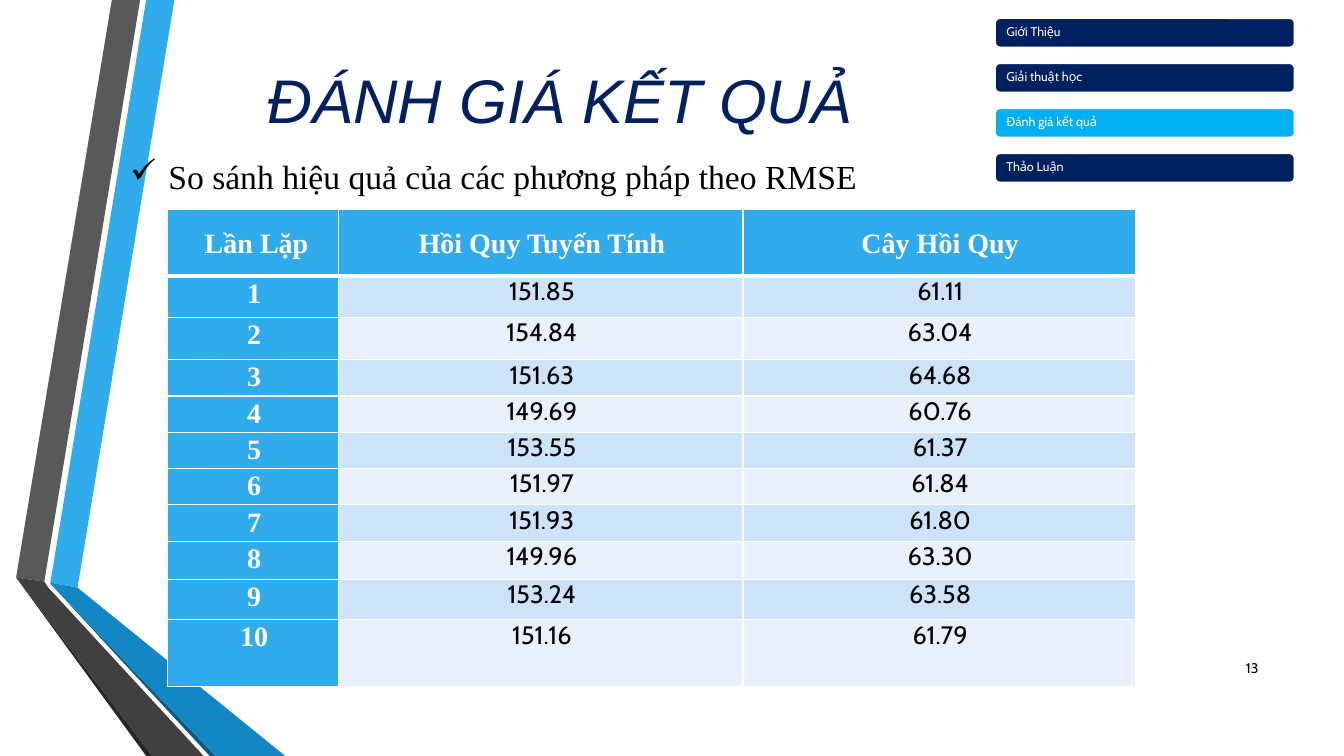
from lxml import etree
from pptx import Presentation
from pptx import util as u
from pptx.dml.color import RGBColor
from pptx.enum import shapes, text
from pptx.oxml.ns import qn

COLORS = {
    "blue": "30ACEC", "blue_fold": "1287C3", "blue_edge": "0C5A82",
    "gray": "595959", "gray_fold": "404040", "gray_edge": "262626",
    "navy": "002060", "active": "00B0F0", "band_dark": "CDE3F8",
    "band_light": "E8F1FB", "white": "FFFFFF", "black": "000000",
}


def rgb(name):
    return RGBColor.from_string(COLORS[name])


def set_text(tf, value, size, font, color, align, anchor=text.MSO_ANCHOR.TOP):
    tf.text = value
    tf.vertical_anchor = anchor
    p = tf.paragraphs[0]
    p.alignment = align
    f = p.runs[0].font
    f.size, f.name, f.color.rgb = u.Pt(size), font, rgb(color)
    return p


LEFT, CENTER, RIGHT = text.PP_ALIGN.LEFT, text.PP_ALIGN.CENTER, text.PP_ALIGN.RIGHT
MIDDLE = text.MSO_ANCHOR.MIDDLE

prs = Presentation()
prs.slide_width, prs.slide_height = u.Inches(13.33), u.Inches(7.5)
s = prs.slides.add_slide(prs.slide_layouts[6])

ribbons = [
    ("blue", [(0.5, 5.78), (0.77, 5.83), (1.73, 0), (1.45, 0)]),
    ("gray", [(1.39, 0), (1.11, 0), (0.16, 5.73), (0.44, 5.77)]),
    ("gray_edge", [(0.16, 5.73), (1.45, 7.5), (1.51, 7.5)]),
    ("blue_edge", [(0.5, 5.79), (2.08, 7.5), (2.14, 7.5)]),
    ("blue_fold", [(0.5, 5.79), (2.14, 7.5), (2.83, 7.5), (0.77, 5.83), (0.5, 5.78)]),
    ("gray_fold", [(2.02, 7.5), (0.48, 5.83), (0.44, 5.77), (0.16, 5.73), (1.51, 7.5)]),
]
for color, points in ribbons:
    points = [(u.Inches(x), u.Inches(y)) for x, y in points]
    fb = s.shapes.build_freeform(*points[0])
    fb.add_line_segments(points[1:], close=True)
    sp = fb.convert_to_shape()
    sp.shadow.inherit = False
    sp.fill.solid()
    sp.fill.fore_color.rgb = rgb(color)
    sp.line.fill.background()

sp = s.shapes.add_textbox(u.Inches(11.98), u.Inches(6.43), u.Inches(0.6), u.Inches(0.4))
sp.text_frame.word_wrap = True
set_text(sp.text_frame, "13", 10, "Cabin", "black", RIGHT, MIDDLE)

rows = [
    ("Lần Lặp", "Hồi Quy Tuyến Tính", "Cây Hồi Quy"),
    ("1", "151.85", "61.11"),
    ("2", "154.84", "63.04"),
    ("3", "151.63", "64.68"),
    ("4", "149.69", "60.76"),
    ("5", "153.55", "61.37"),
    ("6", "151.97", "61.84"),
    ("7", "151.93", "61.80"),
    ("8", "149.96", "63.30"),
    ("9", "153.24", "63.58"),
    ("10", "151.16", "61.79"),
]
widths = [1.7, 4.01, 3.89]
heights = [0.66, 0.41, 0.42] + [0.36] * 5 + [0.38, 0.4, 0.66]
table = s.shapes.add_table(len(rows), len(widths), u.Inches(1.66), u.Inches(2.08),
                           u.Inches(sum(widths)), u.Inches(sum(heights))).table
for col, width in zip(table.columns, widths):
    col.width = u.Inches(width)
for row, height in zip(table.rows, heights):
    row.height = u.Inches(height)

for i, row in enumerate(rows):
    for j, value in enumerate(row):
        cell = table.cell(i, j)
        cell.margin_left, cell.margin_right = u.Inches(0.07), u.Inches(0.05)
        cell.margin_top = cell.margin_bottom = 0
        heading = i == 0 or j == 0
        if heading:
            p = set_text(cell.text_frame, value, 20, "Times New Roman", "white", CENTER)
            p.line_spacing = 1.07
        else:
            p = set_text(cell.text_frame, value, 18, "Cabin", "black", CENTER)
        p.runs[0].font.bold = heading
        cell.vertical_anchor = MIDDLE if i == 0 else text.MSO_ANCHOR.TOP
        cell.fill.solid()
        band = "band_dark" if i % 2 else "band_light"
        cell.fill.fore_color.rgb = rgb("blue" if heading else band)

        tcPr = cell._tc.get_or_add_tcPr()
        for k, side in enumerate(("lnL", "lnR", "lnT", "lnB")):
            thick = (i, side) in ((0, "lnB"), (1, "lnT"))
            ln = etree.Element(qn("a:" + side), w=str(u.Pt(3 if thick else 1)))
            fill = etree.SubElement(ln, qn("a:solidFill"))
            etree.SubElement(fill, qn("a:srgbClr"), val=COLORS["white"])
            tcPr.insert(k, ln)
table.cell(0, 0).text_frame.paragraphs[0]._p.get_or_add_pPr().set("marL", str(u.Inches(0.05)))

sp = s.shapes.add_textbox(u.Inches(1.16), u.Inches(1.5), u.Inches(7.47), u.Inches(0.5))
tf = sp.text_frame
tf.word_wrap = False
tf.auto_size = text.MSO_AUTO_SIZE.SHAPE_TO_FIT_TEXT
p = set_text(tf, "So sánh hiệu quả của các phương pháp theo RMSE", 24,
             "Times New Roman", "black", CENTER)
pPr = p._p.get_or_add_pPr()
pPr.set("marL", str(u.Inches(0.38)))
pPr.set("indent", str(u.Inches(-0.38)))
etree.SubElement(pPr, qn("a:buChar"), char="✓")

sections = ["Giới Thiệu", "Giải thuật học", "Đánh giá kết quả", "Thảo Luận"]
for i, section in enumerate(sections):
    sp = s.shapes.add_shape(shapes.MSO_SHAPE.ROUNDED_RECTANGLE, u.Inches(9.87),
                            u.Inches(0.18 + 0.447 * i), u.Inches(2.97), u.Inches(0.29))
    sp.shadow.inherit = False
    sp.fill.solid()
    sp.fill.fore_color.rgb = rgb("active" if section == "Đánh giá kết quả" else "navy")
    sp.line.color.rgb = rgb("white")
    sp.line.width = u.Pt(1.25)
    tf = sp.text_frame
    tf.margin_left = tf.margin_right = u.Inches(0.1)
    tf.margin_top = tf.margin_bottom = 0
    p = set_text(tf, section, 9, "Cabin", "white", LEFT, MIDDLE)
    p.line_spacing = 0.9

sp = s.shapes.add_textbox(u.Inches(0.08), u.Inches(0.02), u.Inches(10.96), u.Inches(1.92))
sp.text_frame.word_wrap = True
p = set_text(sp.text_frame, "ĐÁNH GIÁ KẾT QUẢ", 44, "Arial", "navy", CENTER, MIDDLE)
p.runs[0].font.italic = True

prs.save("out.pptx")
